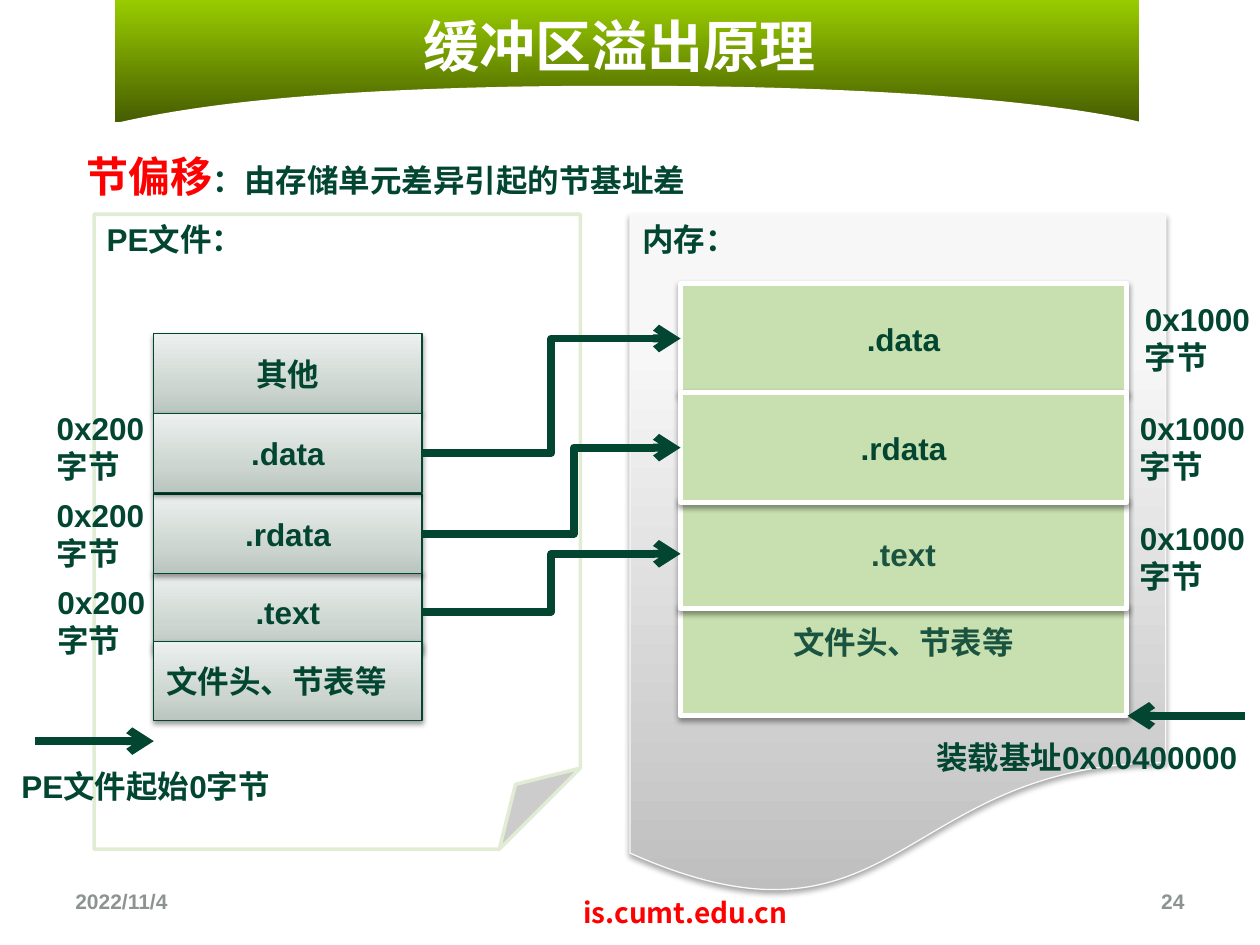
from lxml.etree import SubElement
from pptx import Presentation
from pptx.dml.color import RGBColor
from pptx.enum.shapes import MSO_CONNECTOR, MSO_SHAPE
from pptx.enum.text import MSO_ANCHOR, PP_ALIGN
from pptx.oxml.ns import qn
from pptx.util import Cm, Pt

LATIN, CHINESE = "Arial", "Noto Sans CJK SC"
GREEN = RGBColor(0x02, 0x46, 0x31)
SOFT_GREEN = RGBColor(0x1A, 0x54, 0x40)
BOX_LINE = RGBColor(0x00, 0x46, 0x31)
PAGE_LINE = RGBColor(0xE0, 0xED, 0xD4)
MEMORY_LINE = RGBColor(0xF9, 0xF9, 0xF9)
MEMORY_FILL = RGBColor(0xC8, 0xE0, 0xB0)
WHITE = RGBColor(0xFF, 0xFF, 0xFF)
RED = RGBColor(0xFF, 0x00, 0x00)
GREY = RGBColor(0x8C, 0x94, 0x90)
# Gradients: (position in percent, colour), running from bottom to top
BANNER_STOPS = [(0, RGBColor(0x46, 0x5D, 0x00)), (100, RGBColor(0x99, 0xCC, 0x00))]
MEMORY_STOPS = [(0, RGBColor(0xBE, 0xBE, 0xBE)), (80, RGBColor(0xF7, 0xF7, 0xF7)),
                (100, RGBColor(0xF8, 0xF8, 0xF8))]
BOX_STOPS = [(0, RGBColor(0xB9, 0xC5, 0xBE)), (35, RGBColor(0xCE, 0xD6, 0xD1)),
             (100, RGBColor(0xEC, 0xF0, 0xEE))]
LEFT, CENTER, RIGHT = PP_ALIGN.LEFT, PP_ALIGN.CENTER, PP_ALIGN.RIGHT
TOP, MIDDLE = MSO_ANCHOR.TOP, MSO_ANCHOR.MIDDLE

# Content, all lengths in centimetres; boxes are listed from back to front
HEADER = "文件头、节表等"
FILE_LEFT, FILE_WIDTH, FILE_HEIGHT = 3.1, 5.41, 1.6
FILE_BOXES = [("其他", 6.73, CENTER), (".text", 11.53, CENTER), (".rdata", 9.96, CENTER),
              (".data", 8.33, CENTER), (HEADER, 12.93, LEFT)]
MEMORY_LEFT, MEMORY_WIDTH, MEMORY_HEIGHT = 13.72, 8.99, 2.21
MEMORY_BOXES = [(".data", 5.72, GREEN), (HEADER, 12.22, SOFT_GREEN),
                (".text", 10.06, SOFT_GREEN), (".rdata", 7.92, GREEN)]
MAPPINGS = [(".text", 50000), (".rdata", 58700), (".data", 50000)]  # name, bend position
SIZE_LABELS = [("0x200", 0.91, 11.63), ("0x200", 0.89, 9.88), ("0x200", 0.89, 8.13),
               ("0x1000", 22.73, 10.34), ("0x1000", 22.83, 5.92), ("0x1000", 22.73, 8.13)]
NOTES = [("PE文件起始0字节", 0.18, 15.34, 6.17), ("装载基址0x00400000", 18.62, 14.76, 6.6)]
POINTERS = [(0.71, 3.1, 14.94), (25.1, 22.73, 14.43)]  # from x, to x, y
# Cubic curves of the white arc below the banner
ARC_CURVES = [[(12.93, 1.73), (20.7, 1.75), (23.34, 2.51), (23.34, 2.57)],
              [(1.7, 2.64), (2.79, 2.36), (5.18, 1.7), (12.93, 1.73)]]

presentation = Presentation()
presentation.slide_width, presentation.slide_height = Cm(25.4), Cm(19.05)
slide = presentation.slides.add_slide(presentation.slide_layouts[6])


def format_run(run, size, color, font=LATIN):
    run.font.size, run.font.bold, run.font.name = Pt(size), True, font
    run.font.color.rgb = color
    SubElement(run.font._element, qn("a:ea"), typeface=CHINESE)


def write(shape, text, size=18, color=GREEN, align=LEFT, anchor=TOP, font=LATIN):
    frame = shape.text_frame
    frame.word_wrap, frame.vertical_anchor = True, anchor
    frame.text = text
    for paragraph in frame.paragraphs:
        paragraph.alignment = align
        for run in paragraph.runs:
            format_run(run, size, color, font)


def add_text(text, left, top, width, height, **style):
    box = slide.shapes.add_textbox(Cm(left), Cm(top), Cm(width), Cm(height))
    write(box, text, **style)
    return box


def add_block(kind, left, top, width, height, fill, line=None, weight=0.75, shadow=None):
    shape = slide.shapes.add_shape(kind, Cm(left), Cm(top), Cm(width), Cm(height))
    if isinstance(fill, list):
        shape.fill.gradient()
        shape.fill.gradient_angle = 90
        stop_list = next(shape._element.spPr.iter(qn("a:gsLst")))
        for stop in list(stop_list):
            stop_list.remove(stop)
        for position, color in fill:
            stop = SubElement(stop_list, qn("a:gs"), pos=str(position * 1000))
            SubElement(stop, qn("a:srgbClr"), val=str(color))
    else:
        shape.fill.solid()
        shape.fill.fore_color.rgb = fill
    if line is None:
        shape.line.fill.background()
    else:
        shape.line.color.rgb, shape.line.width = line, Pt(weight)
    shape.shadow.inherit = False
    if shadow:
        distance, opacity = shadow
        effects = shape._element.spPr.find(qn("a:effectLst"))
        outer = SubElement(effects, qn("a:outerShdw"), blurRad=str(Pt(3.1)),
                           dist=str(Pt(distance)), dir="5400000", rotWithShape="0")
        color = SubElement(outer, qn("a:srgbClr"), val="000000")
        SubElement(color, qn("a:alpha"), val=str(opacity * 1000))
    return shape


def add_arrow(kind, start_x=0, start_y=0, end_x=0, end_y=0):
    arrow = slide.shapes.add_connector(kind, Cm(start_x), Cm(start_y), Cm(end_x), Cm(end_y))
    arrow.line.color.rgb, arrow.line.width = GREEN, Pt(4.5)
    SubElement(arrow.line._get_or_add_ln(), qn("a:tailEnd"), type="arrow")
    SubElement(arrow._element.spPr, qn("a:effectLst"))
    return arrow


def curve_points(curve, steps=40):
    for step in range(steps + 1):
        t = step / steps
        weights = ((1 - t) ** 3, 3 * t * (1 - t) ** 2, 3 * t * t * (1 - t), t ** 3)
        yield tuple(Cm(sum(w * point[axis] for w, point in zip(weights, curve)))
                    for axis in (0, 1))


# Banner with arc and title
add_block(MSO_SHAPE.RECTANGLE, 2.32, 0, 20.64, 2.46, BANNER_STOPS)
arc_points = [point for curve in ARC_CURVES for point in curve_points(curve)]
builder = slide.shapes.build_freeform(*arc_points[0])
builder.add_line_segments(arc_points[1:], close=True)
arc = builder.convert_to_shape()
arc.fill.solid()
arc.fill.fore_color.rgb = WHITE
arc.line.fill.background()
arc.shadow.inherit = False
add_text("缓冲区溢出原理", 0.84, 0.13, 23.29, 1.57, size=32, color=WHITE,
         align=CENTER, anchor=MIDDLE, font=CHINESE)

# File page and memory page
page = add_block(MSO_SHAPE.FOLDED_CORNER, 1.9, 4.32, 9.8, 12.8, WHITE, PAGE_LINE, 2)
write(page, "PE文件：")
memory = add_block(MSO_SHAPE.FLOWCHART_DOCUMENT, 12.7, 4.32, 10.8, 13.79, MEMORY_STOPS,
                   MEMORY_LINE, shadow=(1.8, 35))
write(memory, "内存：")

# Sections in the file and in memory
file_boxes, memory_boxes = {}, {}
for name, top, align in FILE_BOXES:
    box = add_block(MSO_SHAPE.FLOWCHART_PROCESS, FILE_LEFT, top, FILE_WIDTH, FILE_HEIGHT,
                    BOX_STOPS, BOX_LINE, shadow=(1.6, 38))
    write(box, name, align=align, anchor=MIDDLE)
    file_boxes[name] = box
for name, top, color in MEMORY_BOXES:
    box = add_block(MSO_SHAPE.FLOWCHART_PROCESS, MEMORY_LEFT, top, MEMORY_WIDTH,
                    MEMORY_HEIGHT, MEMORY_FILL, WHITE, 3, shadow=(1.6, 38))
    write(box, name, color=color, align=CENTER, anchor=MIDDLE)
    memory_boxes[name] = box
memory_boxes[HEADER].text_frame.margin_bottom = Cm(0.89)

# Size labels, notes and address pointers
for size, left, top in SIZE_LABELS:
    add_text(size + "\n字节", left, top, 3.28, 1.8)
for text, left, top, width in NOTES:
    add_text(text, left, top, width, 1.02)
for start_x, end_x, y in POINTERS:
    add_arrow(MSO_CONNECTOR.STRAIGHT, start_x, y, end_x, y)

# Mapping from file sections to memory sections
for name, bend in MAPPINGS:
    arrow = add_arrow(MSO_CONNECTOR.ELBOW)
    arrow.begin_connect(file_boxes[name], 3)
    arrow.end_connect(memory_boxes[name], 1)
    adjustments = next(arrow._element.spPr.iter(qn("a:avLst")))
    SubElement(adjustments, qn("a:gd"), name="adj1", fmla=f"val {bend}")

# Heading line
heading = add_text("节偏移", 1.5, 2.9, 22.96, 1.27, size=24, color=RED)
explanation = heading.text_frame.paragraphs[0].add_run()
explanation.text = "：由存储单元差异引起的节基址差"
format_run(explanation, 18, GREEN)

# Footer
add_text("2022/11/4", 1.27, 17.65, 5.92, 1.02, size=12, color=GREY, anchor=MIDDLE)
add_text("is.cumt.edu.cn", 9.91, 17.93, 7.82, 0.94, size=16, color=RED, align=CENTER,
         font=CHINESE)
add_text("24", 18.21, 17.65, 5.92, 1.02, size=12, color=GREY, align=RIGHT, anchor=MIDDLE)

presentation.save("out.pptx")
